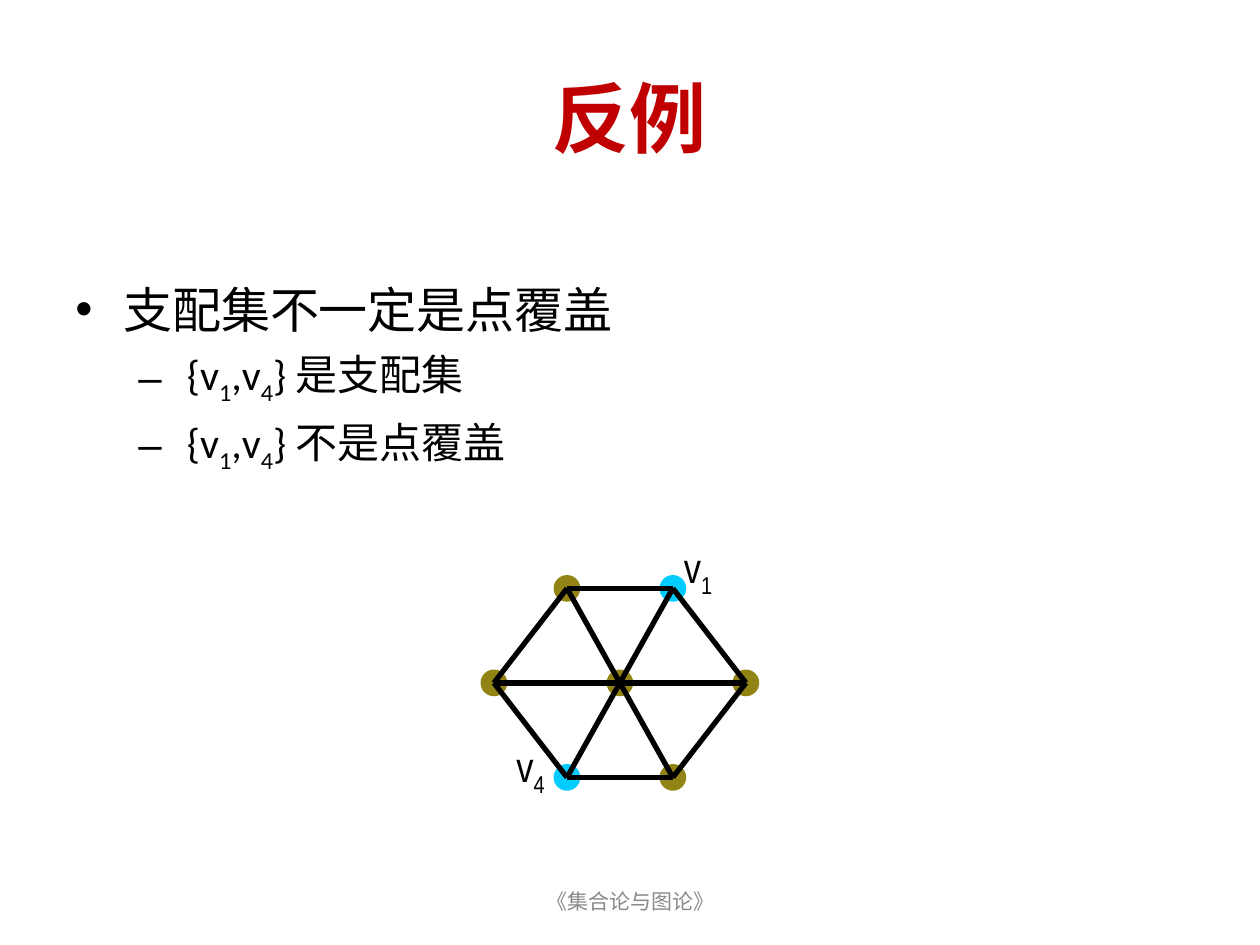
from lxml import etree
from pptx import Presentation
from pptx.dml.color import RGBColor
from pptx.enum.shapes import MSO_CONNECTOR, MSO_SHAPE
from pptx.enum.text import MSO_ANCHOR, PP_ALIGN
from pptx.oxml.ns import qn
from pptx.util import Inches, Pt

LINE, OVAL = MSO_CONNECTOR.STRAIGHT, MSO_SHAPE.OVAL
TOP, MID = MSO_ANCHOR.TOP, MSO_ANCHOR.MIDDLE
LEFT, CENTER = PP_ALIGN.LEFT, PP_ALIGN.CENTER
BLACK = RGBColor(0, 0, 0)
RED = RGBColor(0xC0, 0, 0)
GRAY = RGBColor(0x89, 0x89, 0x89)
OLIVE = RGBColor(0x91, 0x84, 0x15)
CYAN = RGBColor(0, 0xCC, 0xFF)

TITLE = "反例"
FOOTER = "《集合论与图论》"
PAIR = [(" {v", False), ("1", True), (",v", False), ("4", True)]
POINTS = [
    (0, [("支配集不一定是点覆盖", False)]),
    (1, PAIR + [("} 是支配集", False)]),
    (1, PAIR + [("} 不是点覆盖", False)]),
]
LEVELS = [("•", 28, 0.38, 0.38, 7), ("–", 24, 0.81, 0.31, 6)]
LABELS = [("1", 5.33, 4.25), ("4", 4, 5.83)]

HUB = (4.92, 5.42)
RIM = [(-0.42, -0.75), (0.42, -0.75), (1, 0),
       (0.42, 0.75), (-0.42, 0.75), (-1, 0)]
CHOSEN = (1, 4)
DOT = 0.17

deck = Presentation()
deck.slide_width, deck.slide_height = Inches(10), Inches(7.5)
slide = deck.slides.add_slide(deck.slide_layouts[6])
shapes = slide.shapes


def add_box(x, y, w, h, anchor=TOP):
    frame = shapes.add_textbox(*map(Inches, (x, y, w, h))).text_frame
    frame.word_wrap = True
    frame.vertical_anchor = anchor
    return frame


def add_runs(para, runs, face, size, color, bold=False, align=LEFT):
    para.alignment = align
    for text, sub in runs:
        run = para.add_run()
        run.text = text
        font = run.font
        font.name, font.size, font.bold = face, Pt(size), bold
        font.color.rgb = color
        if sub:
            run._r.get_or_add_rPr().set("baseline", "-25000")


def add_bullet(para, mark, left, hang):
    props = para._p.get_or_add_pPr()
    props.set("marL", str(Inches(left)))
    props.set("indent", str(-Inches(hang)))
    etree.SubElement(props, qn("a:buFont")).set("typeface", "Arial")
    etree.SubElement(props, qn("a:buChar")).set("char", mark)


def add_dot(spot, color):
    x, y = spot
    dot = shapes.add_shape(OVAL, Inches(x - DOT / 2), Inches(y - DOT / 2),
                           Inches(DOT), Inches(DOT))
    dot.shadow.inherit = False
    dot.fill.solid()
    dot.fill.fore_color.rgb = color
    dot.line.color.rgb = color
    dot.line.width = Pt(3)


def add_edge(start, end):
    edge = shapes.add_connector(LINE, *map(Inches, start + end))
    edge.line.color.rgb = BLACK
    edge.line.width = Pt(3)
    etree.SubElement(edge._element.spPr, qn("a:effectLst"))


title = add_box(0.5, 0.3, 9, 1.25, MID)
add_runs(title.paragraphs[0], [(TITLE, False)], "Calibri", 44, RED, True, CENTER)

body = add_box(0.5, 2.17, 9, 3.38)
for i, (level, runs) in enumerate(POINTS):
    para = body.add_paragraph() if i else body.paragraphs[0]
    mark, size, left, hang, gap = LEVELS[level]
    para.level = level
    add_bullet(para, mark, left, hang)
    if i:
        para.space_before = Pt(gap)
    add_runs(para, runs, "Calibri", size, BLACK)

footer = add_box(3.42, 6.95, 3.17, 0.4, MID)
add_runs(footer.paragraphs[0], [(FOOTER, False)], "Arial", 12, GRAY, align=CENTER)

rim = [(HUB[0] + dx, HUB[1] + dy) for dx, dy in RIM]
add_dot(HUB, OLIVE)
for i, spot in enumerate(rim):
    add_dot(spot, CYAN if i in CHOSEN else OLIVE)
for i, spot in enumerate(rim):
    add_edge(spot, rim[(i + 1) % len(rim)])
    add_edge(HUB, spot)

for digit, x, y in LABELS:
    label = add_box(x, y, 0.5, 0.56)
    add_runs(label.paragraphs[0], [("v", False), (digit, True)],
             "Arial Narrow", 24, BLACK)

deck.save("out.pptx")
